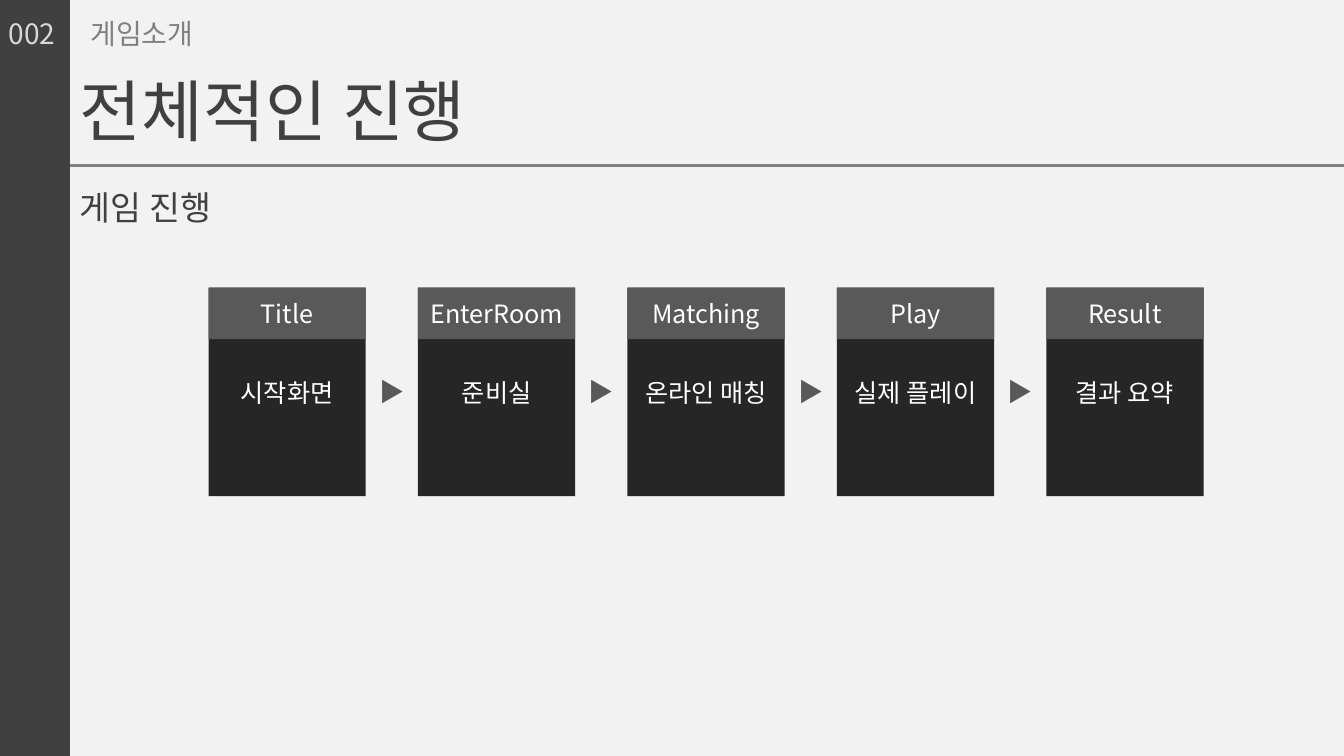
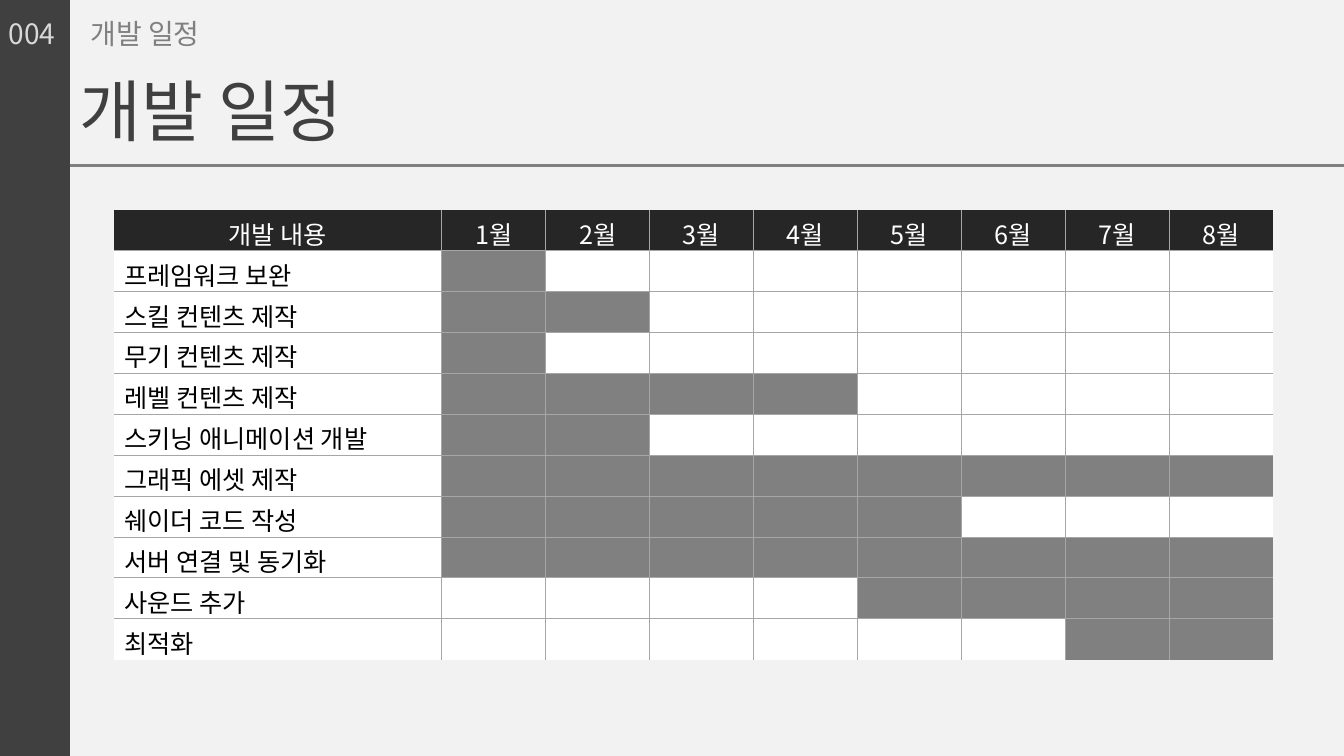
from lxml import etree
from pptx import Presentation
from pptx.dml.color import RGBColor
from pptx.enum.shapes import MSO_CONNECTOR, MSO_SHAPE
from pptx.enum.text import MSO_ANCHOR, PP_ALIGN
from pptx.oxml.ns import qn
from pptx.util import Pt

RECTANGLE = MSO_SHAPE.RECTANGLE
STRAIGHT = MSO_CONNECTOR.STRAIGHT
MIDDLE = MSO_ANCHOR.MIDDLE
LEFT, CENTER = PP_ALIGN.LEFT, PP_ALIGN.CENTER

FONT = "Noto Sans CJK KR"
PAPER = RGBColor(0xF2, 0xF2, 0xF2)
WHITE = RGBColor(0xFF, 0xFF, 0xFF)
BLACK = RGBColor(0x00, 0x00, 0x00)
SILVER = RGBColor(0xD9, 0xD9, 0xD9)
GRID = RGBColor(0xA6, 0xA6, 0xA6)
GRAY = RGBColor(0x80, 0x80, 0x80)
SLATE = RGBColor(0x59, 0x59, 0x59)
DARK = RGBColor(0x40, 0x40, 0x40)
INK = RGBColor(0x26, 0x26, 0x26)

PAGE_WIDTH, PAGE_HEIGHT = 960, 540
BAND_WIDTH = 50
RULE_TOP = 118

FLOW_PAGE = {"number": "002", "section": ("게임소개", 91.5),
             "title": ("전체적인 진행", 310.5)}
PLAN_PAGE = {"number": "004", "section": ("개발 일정", 99.5),
             "title": ("개발 일정", 218)}

STEPS = [
    ("Title", "시작화면"),
    ("EnterRoom", "준비실"),
    ("Matching", "온라인 매칭"),
    ("Play", "실제 플레이"),
    ("Result", "결과 요약"),
]
CARD_LEFT, CARD_TOP, CARD_PITCH = 149, 205.5, 149.6
CARD_WIDTH, CARD_HEIGHT, HEAD_HEIGHT = 112.3, 149, 36.7
ARROW_TOP, ARROW_WIDTH, ARROW_HEIGHT = 265, 32.4, 29

MONTHS = 8
PLAN_HEADER = ["개발 내용"] + [f"{month}월" for month in range(1, MONTHS + 1)]
TASKS = [
    ("프레임워크 보완", 1, 1),
    ("스킬 컨텐츠 제작", 1, 2),
    ("무기 컨텐츠 제작", 1, 1),
    ("레벨 컨텐츠 제작", 1, 4),
    ("스키닝 애니메이션 개발", 1, 2),
    ("그래픽 에셋 제작", 1, 8),
    ("쉐이더 코드 작성", 1, 5),
    ("서버 연결 및 동기화", 1, 8),
    ("사운드 추가", 5, 8),
    ("최적화", 7, 8),
]
PLAN_LEFT, PLAN_TOP, ROW_HEIGHT = 81.5, 150, 29.2
TASK_WIDTH, MONTH_WIDTH = 234, 74.25


def write(frame, text, size, color, align=LEFT):
    frame.text = text
    para = frame.paragraphs[0]
    para.alignment = align
    for span in para.runs:
        span.font.size = Pt(size)
        span.font.name = FONT
        span.font.color.rgb = color
        east_asian = etree.SubElement(span.font._element, qn("a:ea"))
        east_asian.set("typeface", FONT)
    return para


def add_label(page, text, left, top, width, height, size, color):
    box = page.shapes.add_textbox(Pt(left), Pt(top), Pt(width), Pt(height))
    box.text_frame.word_wrap = False
    return write(box.text_frame, text, size, color)


def add_block(page, left, top, width, height, color, text=""):
    block = page.shapes.add_shape(RECTANGLE, Pt(left), Pt(top), Pt(width), Pt(height))
    block.shadow.inherit = False
    block.fill.solid()
    block.fill.fore_color.rgb = color
    block.line.fill.background()
    if text:
        block.text_frame.vertical_anchor = MIDDLE
        write(block.text_frame, text, 18, WHITE, CENTER)


def add_page(deck, number, section, title):
    page = deck.slides.add_slide(deck.slide_layouts[6])
    rule = page.shapes.add_connector(
        STRAIGHT, Pt(0), Pt(RULE_TOP), Pt(PAGE_WIDTH), Pt(RULE_TOP))
    rule.line.color.rgb = GRAY
    rule.line.width = Pt(2.25)
    etree.SubElement(rule._element.spPr, qn("a:effectLst"))
    add_block(page, 0, 0, BAND_WIDTH, PAGE_HEIGHT, DARK)
    add_label(page, number, -1, 8, 52, 31.5, 20, SILVER)
    section_text, section_width = section
    add_label(page, section_text, 57.5, 8, section_width, 31.5, 20, GRAY)
    title_text, title_width = title
    add_label(page, title_text, BAND_WIDTH, 46, title_width, 65.5, 48, DARK)
    return page


def add_flow(page):
    subtitle = add_label(page, "게임 진행", BAND_WIDTH, 124.5, 116, 39.5, 24, DARK)
    subtitle.line_spacing = 1.2
    gap = CARD_PITCH - CARD_WIDTH
    for index, (name, detail) in enumerate(STEPS):
        left = CARD_LEFT + index * CARD_PITCH
        add_block(page, left, CARD_TOP, CARD_WIDTH, CARD_HEIGHT, INK, detail)
        add_block(page, left, CARD_TOP, CARD_WIDTH, HEAD_HEIGHT, SLATE, name)
        if index:
            add_label(page, "▶", left - (gap + ARROW_WIDTH) / 2, ARROW_TOP,
                      ARROW_WIDTH, ARROW_HEIGHT, 18, SLATE)


def set_borders(cell, sides):
    properties = cell._tc.get_or_add_tcPr()
    for tag, visible in sides.items():
        edge = etree.SubElement(properties, qn(f"a:{tag}"), w=str(Pt(0.75)))
        if visible:
            fill = etree.SubElement(edge, qn("a:solidFill"))
            etree.SubElement(fill, qn("a:srgbClr"), val=str(GRID))
        else:
            etree.SubElement(edge, qn("a:noFill"))


def add_plan(page):
    rows, columns = len(TASKS) + 1, MONTHS + 1
    table = page.shapes.add_table(
        rows, columns, Pt(PLAN_LEFT), Pt(PLAN_TOP),
        Pt(TASK_WIDTH + MONTHS * MONTH_WIDTH), Pt(rows * ROW_HEIGHT)).table
    table.first_row = table.horz_banding = False
    for index, column in enumerate(table.columns):
        column.width = Pt(MONTH_WIDTH if index else TASK_WIDTH)
    for row in table.rows:
        row.height = Pt(ROW_HEIGHT)
    for row in range(rows):
        for column in range(columns):
            cell = table.cell(row, column)
            set_borders(cell, {"lnL": column > 0, "lnR": column < columns - 1,
                               "lnT": row > 0, "lnB": row < rows - 1})
            cell.fill.solid()
            if row == 0:
                color = INK
                write(cell.text_frame, PLAN_HEADER[column], 18, WHITE, CENTER)
            else:
                task, first, last = TASKS[row - 1]
                color = GRAY if first <= column <= last else WHITE
                if column == 0:
                    write(cell.text_frame, task, 18, BLACK)
            cell.fill.fore_color.rgb = color


def main():
    deck = Presentation()
    deck.slide_width, deck.slide_height = Pt(PAGE_WIDTH), Pt(PAGE_HEIGHT)
    backdrop = deck.slide_master.background.fill
    backdrop.solid()
    backdrop.fore_color.rgb = PAPER
    add_flow(add_page(deck, **FLOW_PAGE))
    add_plan(add_page(deck, **PLAN_PAGE))
    deck.save("out.pptx")


if __name__ == "__main__":
    main()
